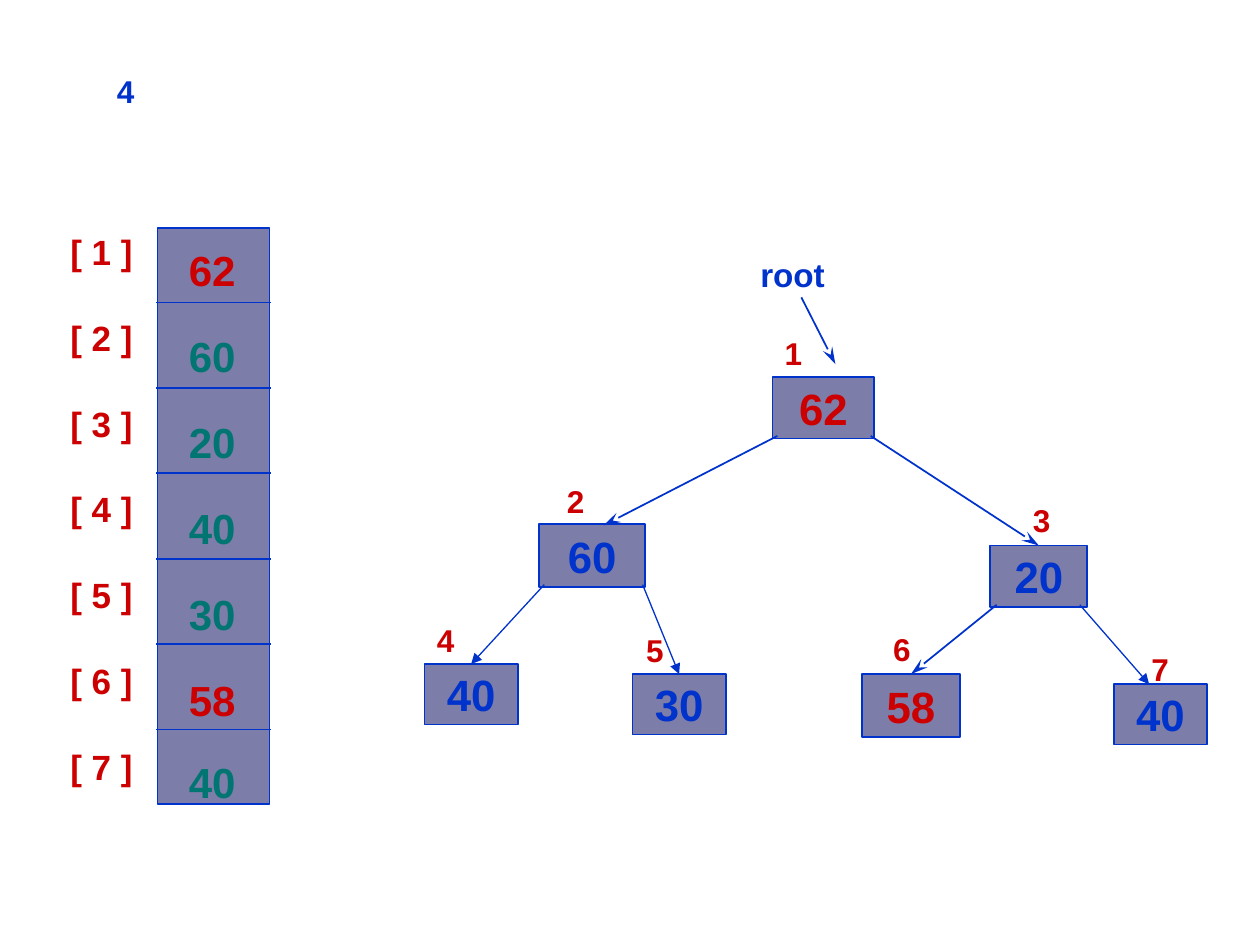
import pptx
import pptx.util
import pptx.dml.color
import pptx.enum.shapes
import pptx.enum.text
import pptx.oxml.ns
from lxml import etree

Inches, Pt = pptx.util.Inches, pptx.util.Pt
ALIGN = pptx.enum.text.PP_ALIGN
RGB = pptx.dml.color.RGBColor.from_string

THEME = {
    "font": "Arial",
    "box": RGB("7D7DA9"), "blue": RGB("0033CC"), "red": RGB("CC0000"), "green": RGB("007572"),
    "position": Pt(18), "root": Pt(19), "index": Pt(20), "value": Pt(24), "node": Pt(25),
}

presentation = pptx.Presentation()
presentation.slide_width, presentation.slide_height = Inches(10), Inches(7.5)
slide = presentation.slides.add_slide(presentation.slide_layouts[6])


def write(shape, entries, size, align=ALIGN.LEFT, wrap=False, anchor=pptx.enum.text.MSO_ANCHOR.TOP):
    """Fill a shape with one paragraph per (text, colour, space before in points)."""
    frame = shape.text_frame
    frame.word_wrap, frame.vertical_anchor = wrap, anchor
    for number, (text, colour, gap) in enumerate(entries):
        paragraph = frame.paragraphs[0] if number == 0 else frame.add_paragraph()
        paragraph.alignment = align
        if number:
            paragraph.space_before = Pt(gap)
        run = paragraph.add_run()
        run.text = text
        for name, value in {"name": THEME["font"], "size": THEME[size], "bold": True}.items():
            setattr(run.font, name, value)
        run.font.color.rgb = THEME[colour]


def add_line(start, end, width=1, arrow=None, length="med"):
    line = slide.shapes.add_connector(
        pptx.enum.shapes.MSO_CONNECTOR.STRAIGHT, *map(Inches, start + end))
    line.line.color.rgb, line.line.width = THEME["blue"], Pt(width)
    if arrow:
        etree.SubElement(line.line._get_or_add_ln(), pptx.oxml.ns.qn("a:tailEnd"),
                         type=arrow, w="med", len=length)
    etree.SubElement(line._element.spPr, pptx.oxml.ns.qn("a:effectLst"))
    return line


# Boxes: the array column first, then the heap nodes
array_box = (1.25, 1.81, 0.89, 4.57)
node_boxes = {
    1: (6.13, 2.99, 0.81, 0.49),
    2: (4.28, 4.16, 0.84, 0.5),
    3: (7.86, 4.33, 0.77, 0.49),
    4: (3.37, 5.27, 0.74, 0.48),
    5: (5.02, 5.35, 0.74, 0.48),
    6: (6.84, 5.35, 0.78, 0.5),
    7: (8.84, 5.43, 0.74, 0.48),
}
heap = [62, 60, 20, 40, 30, 58, 40]
swapped = {1, 6}

boxes = {}
for position, place in {0: array_box, **node_boxes}.items():
    box = slide.shapes.add_shape(pptx.enum.shapes.MSO_SHAPE.RECTANGLE, *map(Inches, place))
    box.shadow.inherit = False
    box.fill.solid()
    box.fill.fore_color.rgb = THEME["box"]
    box.line.color.rgb, box.line.width = THEME["blue"], Pt(1)
    boxes[position] = box

# Array dividers, indexes and values
for row in range(6):
    y = 2.4 + 0.678 * row
    add_line((1.24, y), (2.15, y))

indexes = [(f"[ {position} ]", "red", 25) for position in node_boxes]
values = [(str(value), "red" if position in swapped else "green", 18 if position == 7 else 20.4)
          for position, value in enumerate(heap, 1)]
for place, entries, size in [
    ((0.46, 1.78, 0.7, 4.42), indexes, "index"),
    ((1.4, 1.89, 0.57, 4.47), values, "value"),
]:
    write(slide.shapes.add_textbox(*map(Inches, place)), entries, size)

# Heap values
for position, value in enumerate(heap, 1):
    write(boxes[position], [(str(value), "red" if position in swapped else "blue", 0)],
          "node", ALIGN.CENTER, anchor=pptx.enum.text.MSO_ANCHOR.MIDDLE)

# Edges from parent to child; the joined ones end at the middle of the child's top
edges = [
    (2, (6.17, 3.46), (4.79, 4.17), "stealth", False),
    (3, (6.91, 3.46), (8.25, 4.33), "stealth", True),
    (4, (4.32, 4.64), (3.77, 5.27), "triangle", True),
    (5, (5.1, 4.64), (5.42, 5.35), "triangle", True),
    (6, (7.91, 4.8), (7.23, 5.35), "stealth", True),
    (7, (8.57, 4.8), (9.12, 5.43), "triangle", False),
]
for child, start, end, arrow, joined in edges:
    stealth = arrow == "stealth"
    edge = add_line(start, end, 1 if stealth else 0.75, arrow, "lg" if stealth else "med")
    if joined:
        edge.end_connect(boxes[child], 0)
add_line((6.36, 2.36), (6.63, 2.89), 1, "stealth", "lg")

# Node positions, root label and the step number
position_places = [(6.13, 2.6), (4.4, 3.78), (8.1, 3.93), (3.37, 4.88),
                   (5.03, 4.96), (6.99, 4.95), (9.04, 5.11)]
for position, (left, top) in enumerate(position_places, 1):
    label = slide.shapes.add_textbox(Inches(left), Inches(top), Inches(0.34), Inches(0.4))
    write(label, [(str(position), "red", 0)], "position")

root_label = slide.shapes.add_textbox(Inches(5.84), Inches(1.97), Inches(0.9), Inches(0.4))
write(root_label, [("root", "blue", 0)], "root", ALIGN.CENTER, wrap=True)
step_number = slide.shapes.add_textbox(Inches(0.83), Inches(0.52), Inches(1.26), Inches(0.4))
write(step_number, [("4", "blue", 0)], "position", wrap=True)

presentation.save("out.pptx")
